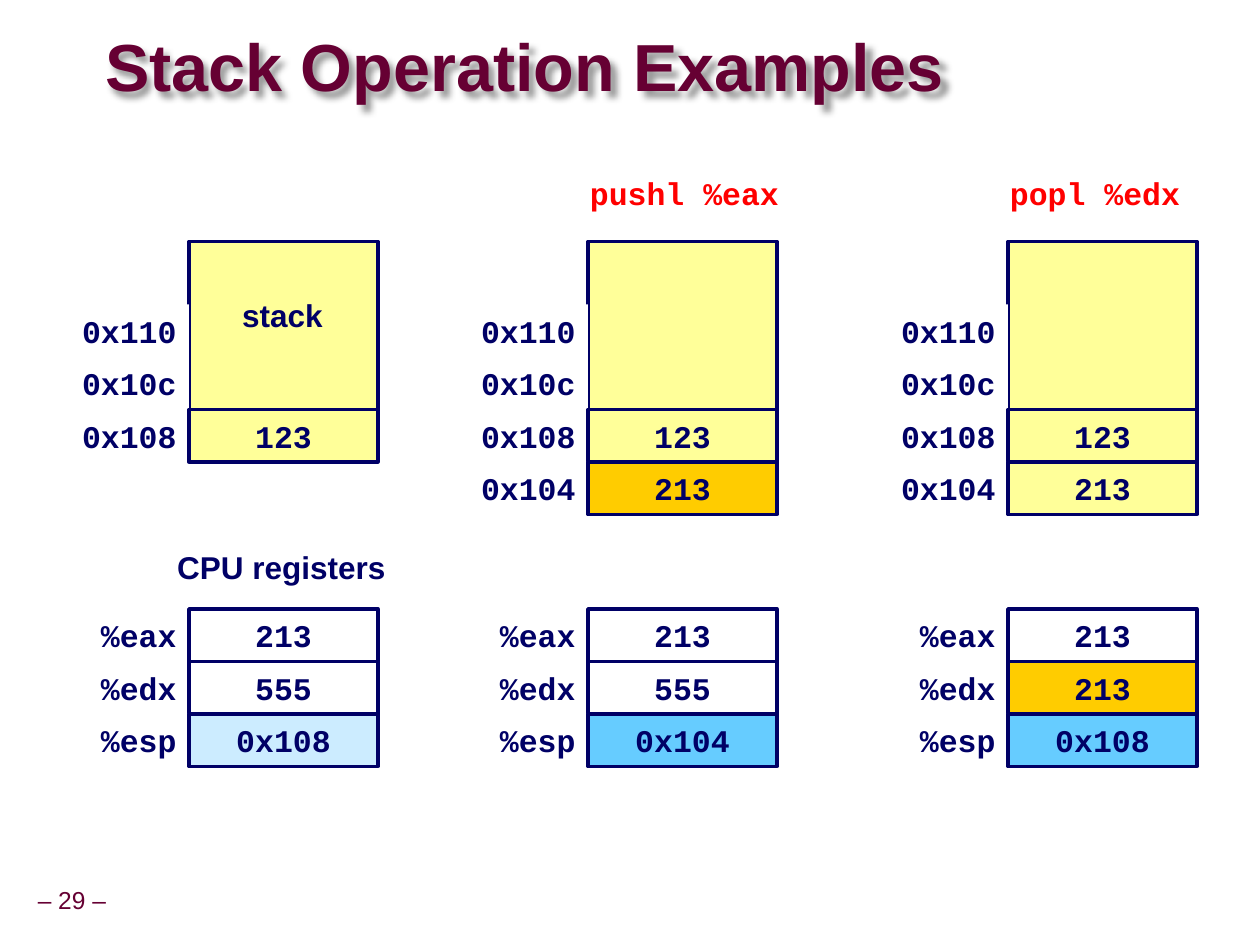
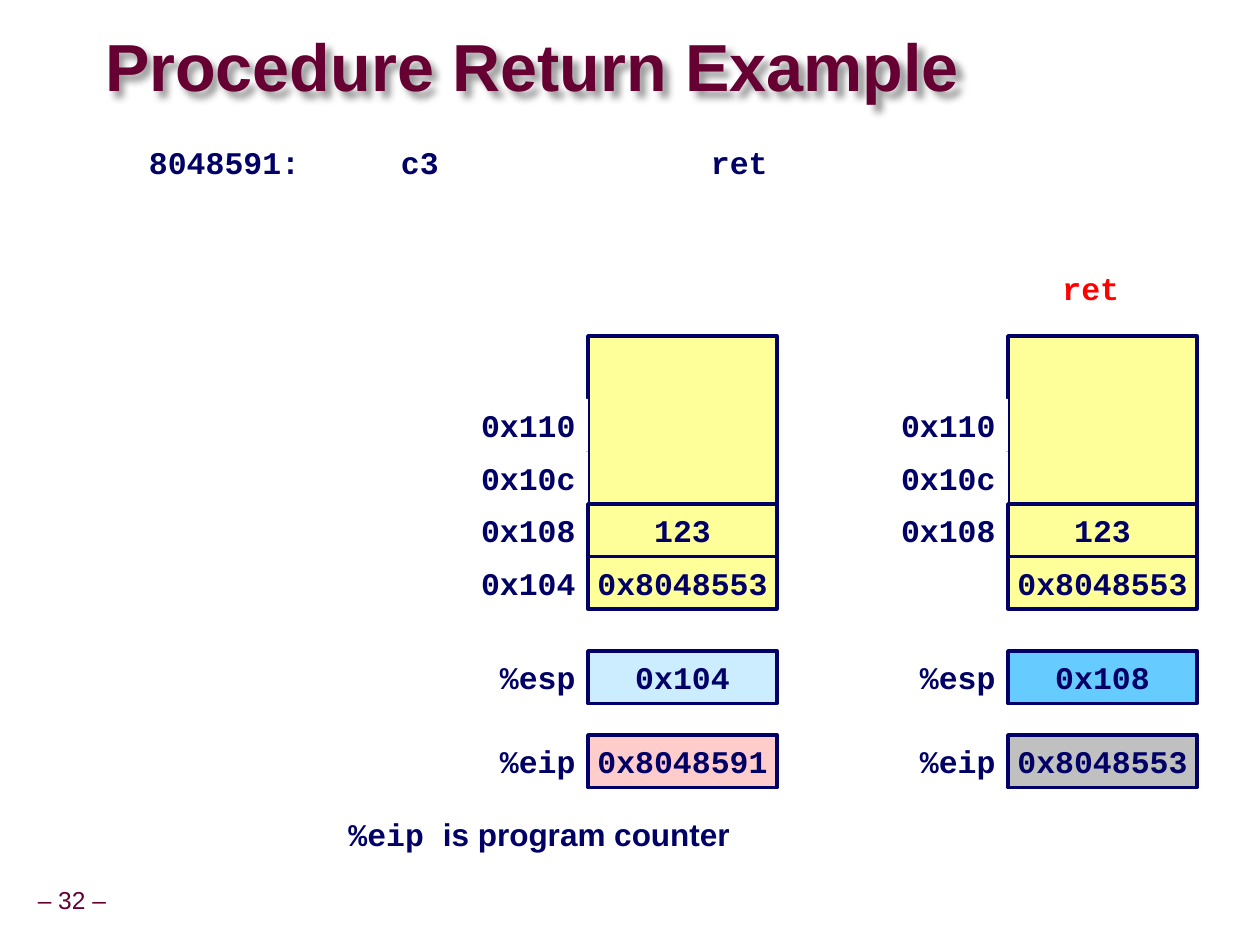
from dataclasses import dataclass

from lxml import etree
from pptx import Presentation
from pptx import util as u
from pptx.dml.color import RGBColor
from pptx.enum import shapes, text
from pptx.oxml import ns


@dataclass(frozen=True)
class Theme:
    ink: str = "000066"
    accent: str = "660033"
    command: str = "FF0000"
    white: str = "FFFFFF"
    memory: str = "FFFF99"
    changed: str = "FFCC00"
    pointer: str = "CCECFF"
    pointer_moved: str = "66CCFF"
    counter: str = "FFCCCC"
    counter_moved: str = "C0C0C0"
    sans: str = "Arial"
    mono: str = "Courier New"
    title_size: int = 38
    body_size: int = 18
    page_size: int = 14
    border: int = 2


theme = Theme()
LEFT, CENTER, RIGHT = text.PP_ALIGN.LEFT, text.PP_ALIGN.CENTER, text.PP_ALIGN.RIGHT
TOP, MIDDLE = text.MSO_ANCHOR.TOP, text.MSO_ANCHOR.MIDDLE

# Grid: 120 columns by 90 rows of equal square units
prs = Presentation()
prs.slide_width, prs.slide_height = u.Inches(10), u.Inches(7.5)
UNIT = prs.slide_width / 120
CELL_W, CELL_H, FREE_H = 18, 5, 16


def write(frame, content, font=theme.mono, size=theme.body_size, color=theme.ink, bold=True,
          align=LEFT, anchor=TOP, spacing=None, inset=None, wrap=False, tabs=()):
    """Fill a text frame; content is a string or a list of (text, font) runs."""
    frame.word_wrap, frame.auto_size = wrap, text.MSO_AUTO_SIZE.NONE
    frame.vertical_anchor = anchor
    if inset is not None:
        frame.margin_left = frame.margin_right = u.Inches(inset)
        frame.margin_top = frame.margin_bottom = u.Inches(inset)
    line = frame.paragraphs[0]
    line.alignment = align
    if spacing:
        line.line_spacing = spacing
    if tabs:
        stops = etree.SubElement(line._p.get_or_add_pPr(), ns.qn("a:tabLst"))
        for stop in tabs:
            etree.SubElement(stops, ns.qn("a:tab"), pos=str(u.Inches(stop)), algn="l")
    for words, face in [(content, font)] if isinstance(content, str) else content:
        run = line.add_run()
        run.text = words
        run.font.name, run.font.size, run.font.bold = face, u.Pt(size), bold
        run.font.color.rgb = RGBColor.from_string(color)


def place(slide, area, content, fill=None, border=False, **style):
    """Put text on the grid, in a rectangle if a fill is given."""
    spot = [round(n * UNIT) for n in area]
    if fill:
        shape = slide.shapes.add_shape(shapes.MSO_SHAPE.RECTANGLE, *spot)
        shape.shadow.inherit = False
        shape.fill.solid()
        shape.fill.fore_color.rgb = RGBColor.from_string(fill)
        if border:
            shape.line.color.rgb = RGBColor.from_string(theme.ink)
            shape.line.width = u.Pt(theme.border)
        else:
            shape.line.fill.background()
        style = dict(anchor=MIDDLE, **style)
    else:
        shape = slide.shapes.add_textbox(*spot)
    if content:
        write(shape.text_frame, content, **style)


# Content: each state has its column, stack cells and registers
free_addresses = ["0x110", "0x10c"]
caption = dict(color=theme.command)
heading = dict(font=theme.sans, align=CENTER, spacing=0.9)
pages = [
    dict(
        title="Stack Operation Examples", title_width=88.7, number=29,
        stack_top=23, register_rows=[58, 63, 68],
        states=[
            (0, [("0x108", "123", theme.memory)],
             [("%eax", "213", theme.white), ("%edx", "555", theme.white),
              ("%esp", "0x108", theme.pointer)]),
            (38, [("0x108", "123", theme.memory), ("0x104", "213", theme.changed)],
             [("%eax", "213", theme.white), ("%edx", "555", theme.white),
              ("%esp", "0x104", theme.pointer_moved)]),
            (78, [("0x108", "123", theme.memory), ("0x104", "213", theme.memory)],
             [("%eax", "213", theme.white), ("%edx", "213", theme.changed),
              ("%esp", "0x108", theme.pointer_moved)]),
        ],
        notes=[
            ((55, 16, 20.4, 4.8), "pushl %eax", caption),
            ((95, 16, 18.6, 4.8), "popl %edx", caption),
            ((21.8, 28, 10.2, 4.6), "stack", heading),
            ((15.6, 52, 22.4, 4.6), "CPU registers", heading),
        ],
    ),
    dict(
        title="Procedure Return Example", title_width=105, number=32,
        stack_top=32, register_rows=[62, 70],
        states=[
            (38, [("0x108", "123", theme.memory), ("0x104", "0x8048553", theme.memory)],
             [("%esp", "0x104", theme.pointer), ("%eip", "0x8048591", theme.counter)]),
            (78, [("0x108", "123", theme.memory), (None, "0x8048553", theme.memory)],
             [("%esp", "0x108", theme.pointer_moved),
              ("%eip", "0x8048553", theme.counter_moved)]),
        ],
        notes=[
            ((100, 25, 7.8, 4.8), "ret", caption),
            ((13, 13, 62, 4.8), "8048591:\tc3\tret", dict(wrap=True, tabs=(2, 4.46))),
            ((32, 77, 38.8, 4.8),
             [("%eip ", theme.mono), ("is program counter", theme.sans)], {}),
        ],
    ),
]

for page in pages:
    slide = prs.slides.add_slide(prs.slide_layouts[5])

    # Title with a soft shadow
    title = slide.shapes.title
    title.left, title.top, title.width, title.height = (
        round(n * UNIT) for n in (10, 3, page["title_width"], 7.5))
    write(title.text_frame, page["title"], font=theme.sans, size=theme.title_size,
          color=theme.accent, anchor=MIDDLE, spacing=0.87, inset=0, wrap=True)
    effects = etree.SubElement(title._element.spPr, ns.qn("a:effectLst"))
    shadow = etree.SubElement(effects, ns.qn("a:outerShdw"), blurRad=str(u.Pt(4)),
                              dist=str(u.Pt(4)), dir="2700000", algn="tl", rotWithShape="0")
    shade = etree.SubElement(shadow, ns.qn("a:srgbClr"), val="000000")
    etree.SubElement(shade, ns.qn("a:alpha"), val="40000")

    # Page number
    place(slide, (2.9, 84, 7.9, 3.7), f"– {page['number']} –", font=theme.sans,
          size=theme.page_size, color=theme.accent, bold=False, align=CENTER,
          anchor=MIDDLE, spacing=0.9, inset=0.05)

    # Machine states: free stack space, then labelled cells
    top = page["stack_top"]
    for column, stack, registers in page["states"]:
        place(slide, (column + CELL_W, top, CELL_W, FREE_H), None, theme.memory, True)
        for i, address in enumerate(free_addresses):
            place(slide, (column, top + 6 + i * CELL_H, CELL_W, CELL_H), address,
                  theme.white, align=RIGHT)
        rows = [top + FREE_H + i * CELL_H for i in range(len(stack))]
        for row, (label, value, fill) in zip(rows + page["register_rows"], stack + registers):
            if label:
                place(slide, (column, row, CELL_W, CELL_H), label, theme.white, align=RIGHT)
            place(slide, (column + CELL_W, row, CELL_W, CELL_H), value, fill, True,
                  align=CENTER)

    # Captions and headings
    for area, words, style in page["notes"]:
        place(slide, area, words, **style)

prs.save("out.pptx")
